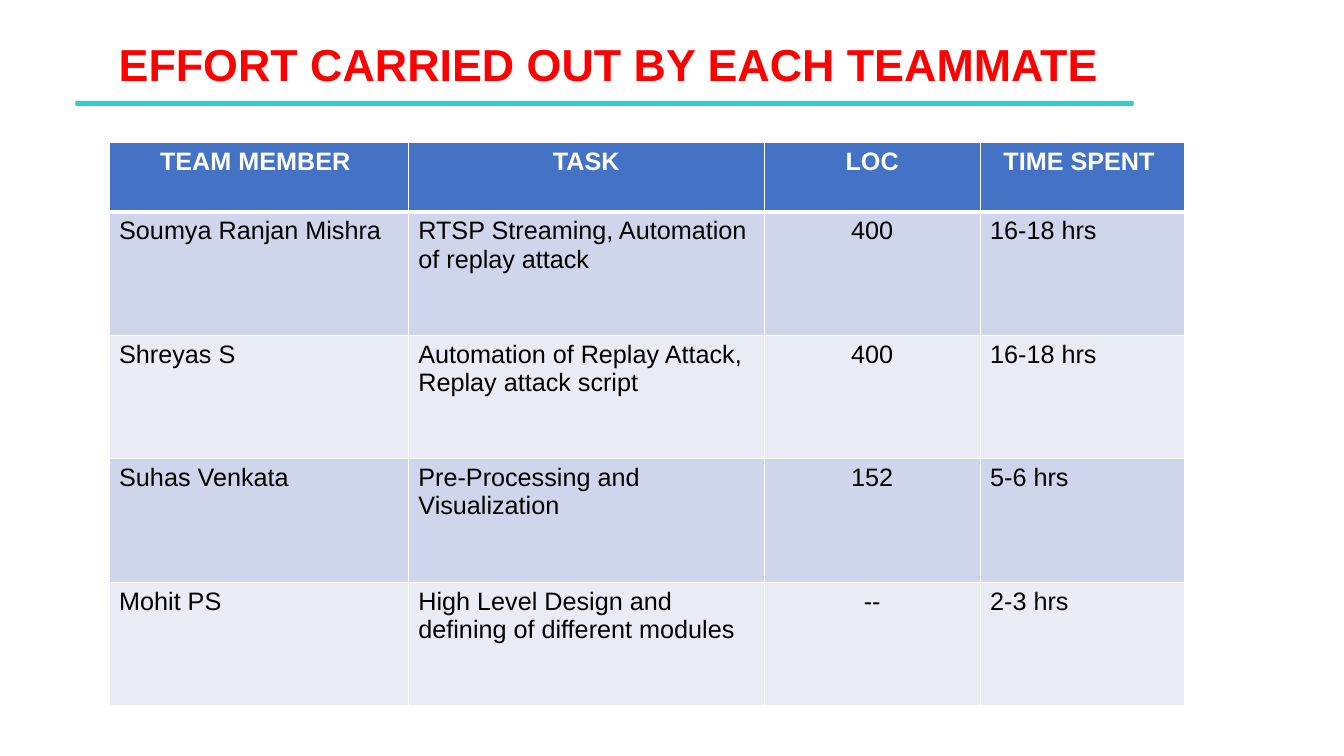
from dataclasses import dataclass

from lxml import etree
from pptx import Presentation
from pptx.dml.color import RGBColor
from pptx.enum.shapes import MSO_SHAPE
from pptx.enum.text import PP_ALIGN
from pptx.oxml.ns import qn
from pptx.util import Cm, Pt

RECT = MSO_SHAPE.RECTANGLE
LEFT, CENTER, RIGHT = PP_ALIGN.LEFT, PP_ALIGN.CENTER, PP_ALIGN.RIGHT


@dataclass(frozen=True)
class Theme:
    font: str = "Arial"
    title: str = "FF0000"
    rule: str = "33CCCC"
    head: str = "4472C4"
    bands: tuple = ("CFD5EA", "E9EBF5")
    white: str = "FFFFFF"
    black: str = "000000"
    title_size: int = 32
    cell_size: int = 18


THEME = Theme()

HEADS = ("TEAM MEMBER ", "TASK", "LOC", "TIME SPENT ")
EFFORTS = (
    ("Soumya Ranjan Mishra", "RTSP Streaming, Automation of replay attack", "400", "16-18 hrs"),
    ("Shreyas S", "Automation of Replay Attack, Replay attack script", "400", "16-18 hrs"),
    ("Suhas Venkata", "Pre-Processing and Visualization", "152", "5-6 hrs"),
    ("Mohit PS", "High Level Design and defining of different modules", "--", "2-3 hrs"),
)
WIDTHS = (7.54, 8.97, 5.44, 5.16)
ALIGNS = (LEFT, LEFT, CENTER, LEFT)
HEAD_HIGH, ROW_HIGH = 1.74, 3.11


def paint(fill, color):
    fill.solid()
    fill.fore_color.rgb = RGBColor.from_string(color)


def write(frame, text, size, color, align, bold=False):
    para = frame.paragraphs[0]
    para.text = text
    para.alignment = align
    font = para.font
    font.name, font.size, font.bold = THEME.font, Pt(size), bold
    font.color.rgb = RGBColor.from_string(color)


def add_title(slide, text):
    box = slide.shapes.add_textbox(Cm(1.27), Cm(0.81), Cm(26.67), Cm(3))
    box.text_frame.word_wrap = True
    write(box.text_frame, text, THEME.title_size, THEME.title, RIGHT, True)


def add_rule(slide):
    rule = slide.shapes.add_shape(RECT, Cm(1.9), Cm(2.54), Cm(26.67), Cm(0.13))
    rule.shadow.inherit = False
    paint(rule.fill, THEME.rule)
    rule.line.fill.background()


def add_edges(cell, top, bottom):
    props = cell._tc.get_or_add_tcPr()
    for side, width in (("L", 1), ("R", 1), ("T", top), ("B", bottom)):
        line = etree.SubElement(props, qn(f"a:ln{side}"), w=str(Pt(width)))
        fill = etree.SubElement(line, qn("a:solidFill"))
        etree.SubElement(fill, qn("a:srgbClr"), val=THEME.white)


def add_efforts(slide):
    rows = (HEADS, *EFFORTS)
    high = HEAD_HIGH + ROW_HIGH * len(EFFORTS)
    table = slide.shapes.add_table(
        len(rows), len(HEADS), Cm(2.75), Cm(3.6), Cm(sum(WIDTHS)), Cm(high)
    ).table
    for col, width in zip(table.columns, WIDTHS):
        col.width = Cm(width)
    for r, texts in enumerate(rows):
        head = r == 0
        table.rows[r].height = Cm(HEAD_HIGH if head else ROW_HIGH)
        back = THEME.head if head else THEME.bands[(r - 1) % 2]
        ink = THEME.white if head else THEME.black
        for c, text in enumerate(texts):
            cell = table.cell(r, c)
            # Edges come before the fill in a cell's properties
            add_edges(cell, 3 if r == 1 else 1, 3 if head else 1)
            paint(cell.fill, back)
            align = CENTER if head else ALIGNS[c]
            write(cell.text_frame, text, THEME.cell_size, ink, align, head)


def main():
    deck = Presentation()
    deck.slide_width, deck.slide_height = Cm(33.87), Cm(19.05)
    slide = deck.slides.add_slide(deck.slide_layouts[6])

    # Heading
    add_title(slide, "EFFORT CARRIED OUT BY EACH TEAMMATE")
    add_rule(slide)

    # Effort per member
    add_efforts(slide)

    deck.save("out.pptx")


if __name__ == "__main__":
    main()
